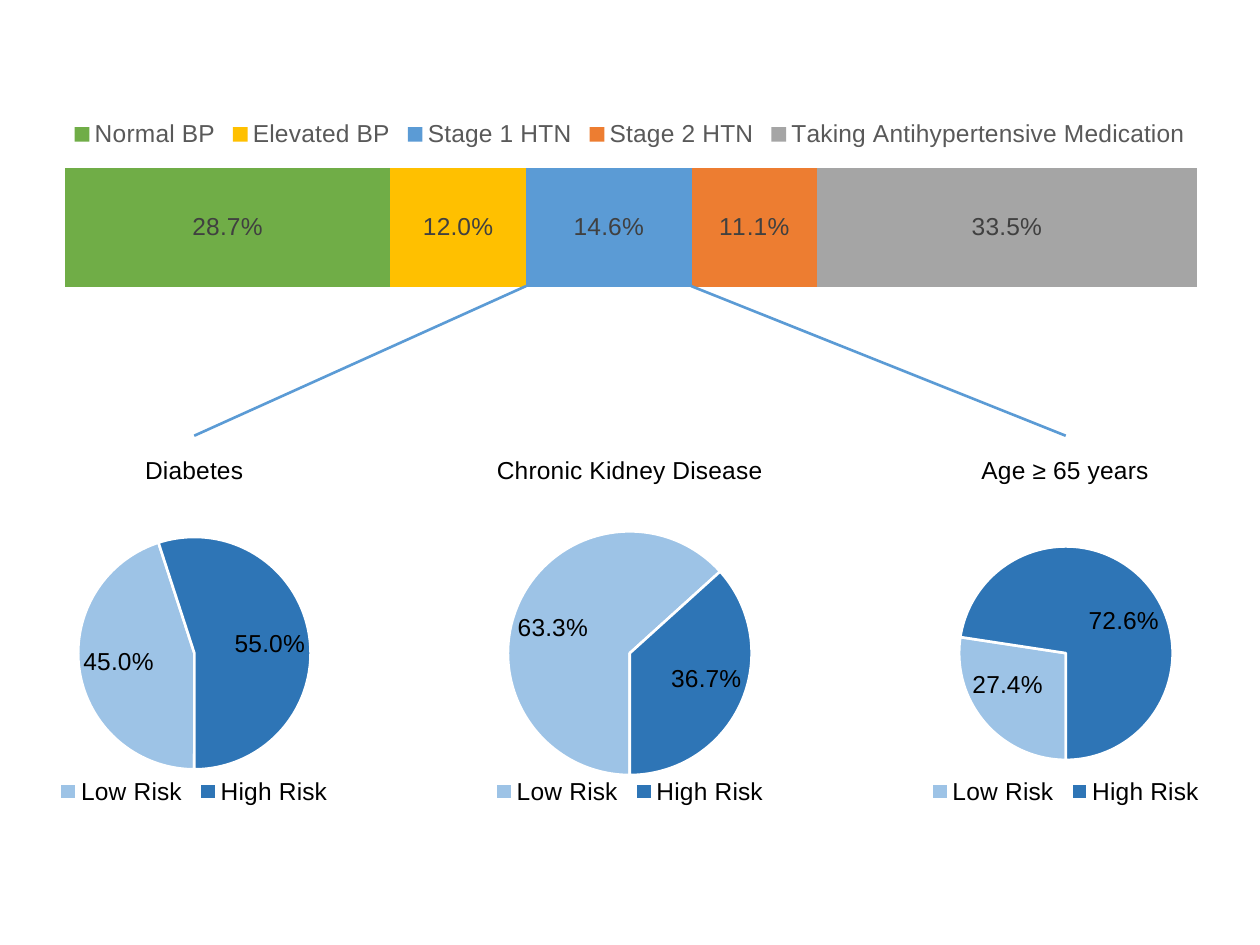
from lxml import etree
from pptx import Presentation
from pptx.chart.data import CategoryChartData
from pptx.dml.color import RGBColor
from pptx.enum.chart import XL_CHART_TYPE, XL_LABEL_POSITION, XL_LEGEND_POSITION
from pptx.enum.shapes import MSO_CONNECTOR
from pptx.oxml.ns import qn
from pptx.util import Pt

THEME = {
    "font": "Arial", "size": Pt(14), "black": "000000",
    "legend": "595959", "label": "404040", "line": "5B9BD5", "border": "FFFFFF",
    "risk": ["9DC3E6", "2E75B6"],
}


def set_layout(parent, index, **values):
    """Place a chart part by fractions of the chart area."""
    for old in parent.findall(qn("c:layout")):
        parent.remove(old)
    layout = etree.Element(qn("c:layout"))
    manual = etree.SubElement(layout, qn("c:manualLayout"))
    if parent.tag == qn("c:plotArea"):
        etree.SubElement(manual, qn("c:layoutTarget")).set("val", "inner")
    for axis in "xy":
        etree.SubElement(manual, qn(f"c:{axis}Mode")).set("val", "edge")
    for name, value in values.items():
        etree.SubElement(manual, qn(f"c:{name}")).set("val", f"{value:.3f}")
    parent.insert(index, layout)


def add_chart(kind, box, categories, series, legend_at, legend_color, label_at, label_color):
    """Add a chart with the shared font, legend and percent labels."""
    data = CategoryChartData(number_format="0.0%")
    data.categories = categories
    for name, values in series:
        data.add_series(name, values)
    chart = slide.shapes.add_chart(kind, *map(Pt, box), data).chart
    chart.has_title = False
    chart.has_legend = True
    chart.legend.position = legend_at
    chart.plots[0].has_data_labels = True
    labels = chart.plots[0].data_labels
    labels.show_value = True
    labels.show_percentage = False
    labels.number_format = "0.0%"
    labels.number_format_is_linked = False
    labels.position = label_at
    for font, color in ((chart.font, THEME["black"]), (chart.legend.font, legend_color),
                        (labels.font, label_color)):
        font.name = THEME["font"]
        font.size = THEME["size"]
        font.color.rgb = RGBColor.from_string(color)
    return chart


prs = Presentation()
prs.slide_width, prs.slide_height = Pt(720), Pt(540)
slide = prs.slides.add_slide(prs.slide_layouts[6])

# Stacked bar of blood pressure groups
groups = [
    ("Normal BP", 0.287, "70AD47"),
    ("Elevated BP", 0.12, "FFC000"),
    ("Stage 1 HTN", 0.146, "5B9BD5"),
    ("Stage 2 HTN", 0.111, "ED7D31"),
    ("Taking Antihypertensive Medication", 0.335, "A5A5A5"),
]
bar = add_chart(XL_CHART_TYPE.BAR_STACKED_100, (36, 19, 648, 196), ["1"],
                [(name, [value]) for name, value, _ in groups],
                XL_LEGEND_POSITION.TOP, THEME["legend"],
                XL_LABEL_POSITION.CENTER, THEME["label"])
bar.legend.include_in_layout = False
set_layout(bar.legend._element, 1, x=0.002, y=0.25, w=0.996, h=0.09)
bar.plots[0].gap_width = 150
bar.plots[0].overlap = 100
for axis in (bar.category_axis, bar.value_axis):
    axis.visible = False
    axis.has_major_gridlines = False
for group, (_, _, color) in zip(bar.plots[0].series, groups):
    group.format.fill.solid()
    group.format.fill.fore_color.rgb = RGBColor.from_string(color)
set_layout(bar.plots[0]._element.getparent(), 0, x=0.002, y=0.133, w=0.998, h=0.867)

# Risk pies: title, title left, low-risk share, pie diameter
pies = [
    ("Diabetes", 0.358, 0.45, 0.615),
    ("Chronic Kidney Disease", 0.136, 0.633, 0.645),
    ("Age ≥ 65 years", 0.265, 0.274, 0.565),
]
PIE_SIZE, PIE_TOP, PIE_LEFT, PIE_STEP = 216, 249, 3, 249
for i, (title, title_left, low, diameter) in enumerate(pies):
    pie = add_chart(XL_CHART_TYPE.PIE,
                    (PIE_LEFT + i * PIE_STEP, PIE_TOP, PIE_SIZE, PIE_SIZE),
                    ["Low Risk", "High Risk"], [("Series 1", [low, round(1 - low, 3)])],
                    XL_LEGEND_POSITION.BOTTOM, THEME["black"],
                    XL_LABEL_POSITION.BEST_FIT, THEME["black"])
    pie.legend.include_in_layout = True
    set_layout(pie.legend._element, 1, x=0.12, y=0.908, w=0.76, h=0.09)
    plot = pie.plots[0]
    plot.vary_by_categories = True
    etree.SubElement(plot._element, qn("c:firstSliceAng")).set("val", "180")
    for j, color in enumerate(THEME["risk"]):
        part = plot.series[0].points[j].format
        part.fill.solid()
        part.fill.fore_color.rgb = RGBColor.from_string(color)
        part.line.color.rgb = RGBColor.from_string(THEME["border"])
        part.line.width = Pt(1.5)
    set_layout(plot._element.getparent(), 0, x=0.5 - diameter / 2,
               y=0.576 - diameter / 2, w=diameter, h=diameter)

    pie.has_title = True
    pie.chart_title.text_frame.text = title
    font = pie.chart_title.text_frame.paragraphs[0].runs[0].font
    font.name, font.size, font.bold = THEME["font"], THEME["size"], False
    font.color.rgb = RGBColor.from_string(THEME["black"])
    set_layout(pie.chart_title._element, 1, x=title_left, y=0.037)

# Lines from the Stage 1 segment to the outer pies
for start_x, end_x in ((300.6, 111), (395, 609)):
    line = slide.shapes.add_connector(MSO_CONNECTOR.STRAIGHT, Pt(start_x), Pt(163.5),
                                      Pt(end_x), Pt(PIE_TOP))
    line.line.color.rgb = RGBColor.from_string(THEME["line"])
    line.line.width = Pt(1.5)
    etree.SubElement(line._element.spPr, qn("a:effectLst"))

prs.save("out.pptx")
